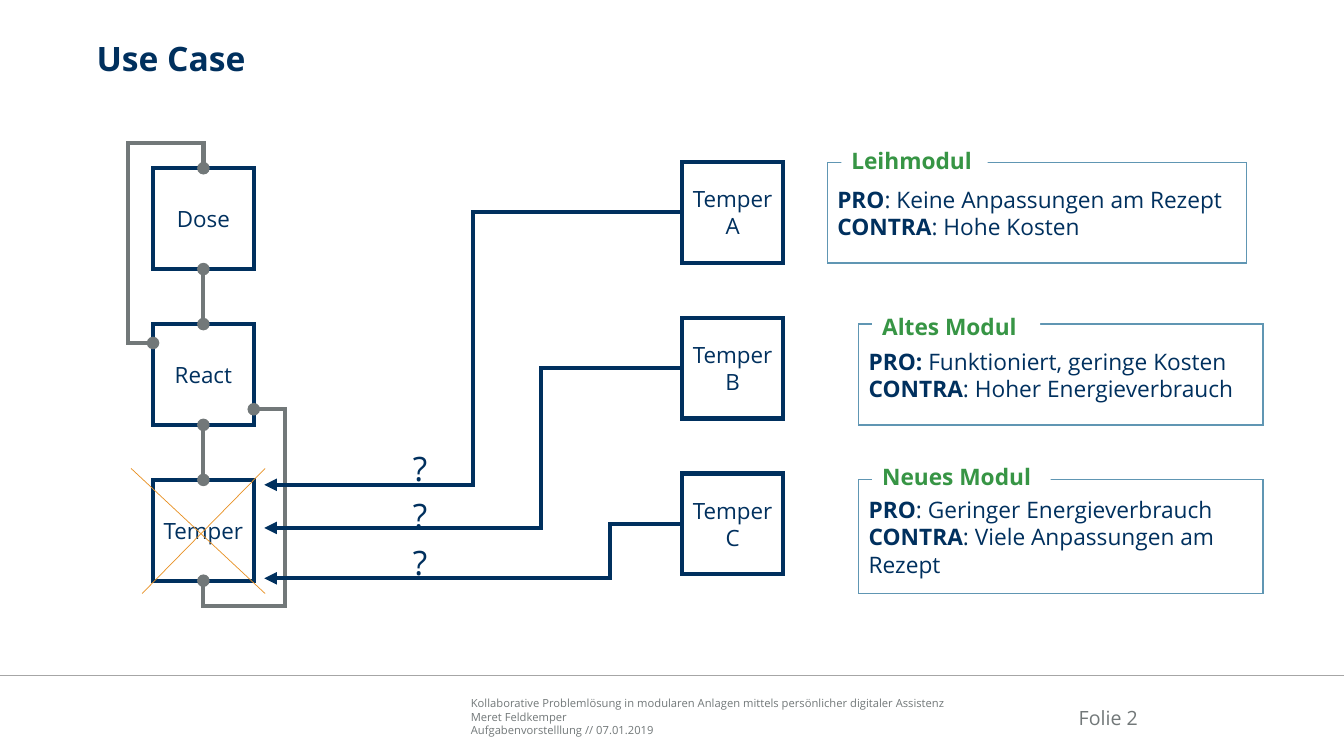
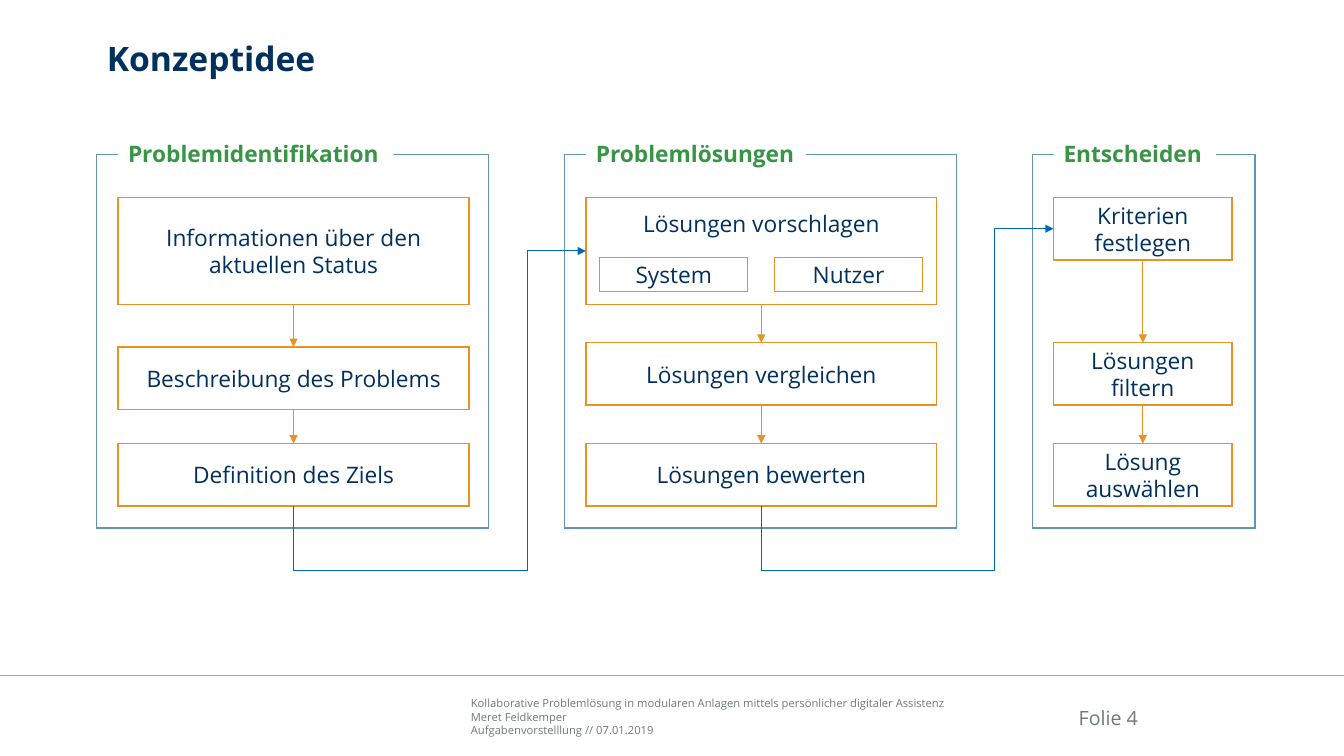
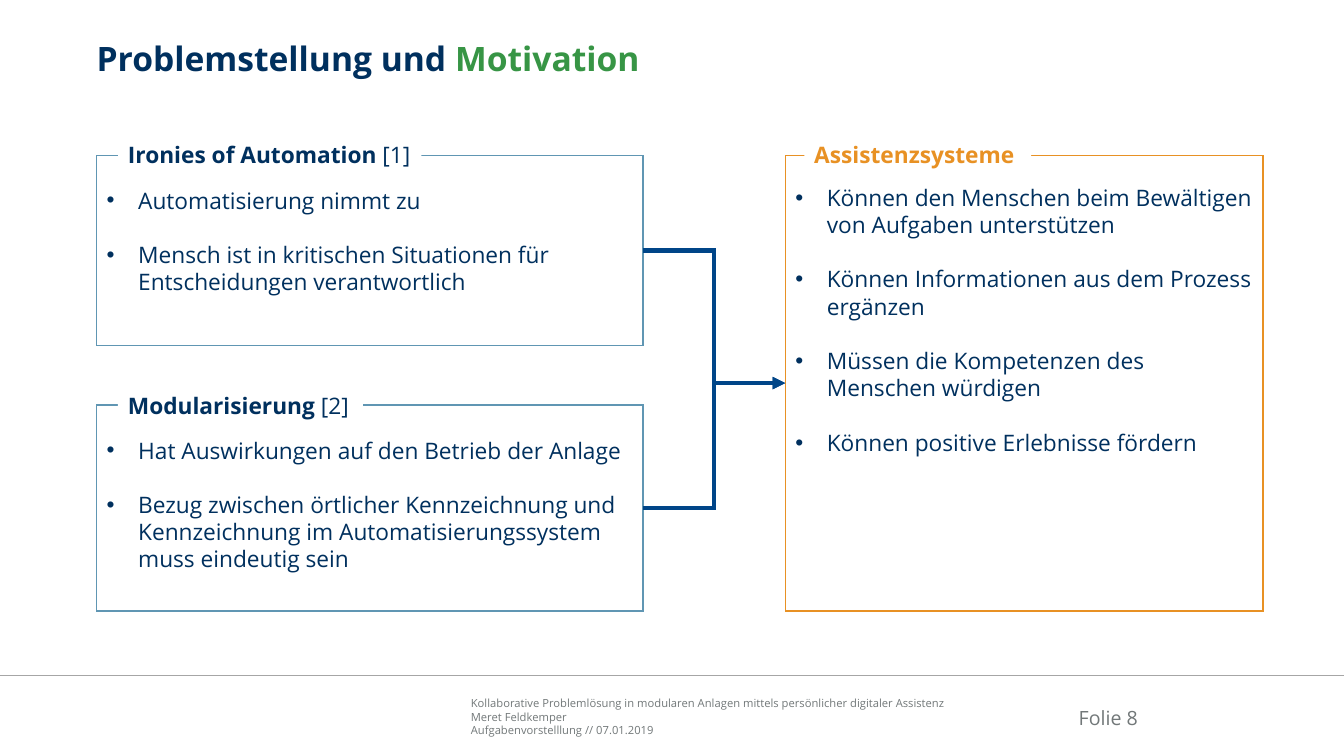
"""Build three slides on modular plants: use case, concept idea and motivation."""
from dataclasses import dataclass
from itertools import pairwise
from typing import Any, NamedTuple

from lxml import etree
from pptx import Presentation
from pptx import util as u
from pptx.dml.color import RGBColor
from pptx.enum import shapes, text
from pptx.oxml.ns import qn

NAVY = RGBColor(0x00, 0x30, 0x5E)
DEEP_BLUE = RGBColor(0x00, 0x45, 0x88)
BLUE = RGBColor(0x00, 0x69, 0xB3)
STEEL = RGBColor(0x60, 0x96, 0xB3)
GREEN = RGBColor(0x37, 0x95, 0x45)
ORANGE = RGBColor(0xE8, 0x91, 0x24)
GREY = RGBColor(0x72, 0x78, 0x79)
RULE_GREY = RGBColor(0xA6, 0xA6, 0xA6)
WHITE = RGBColor(0xFF, 0xFF, 0xFF)

FONT = "Open Sans"
BODY_SIZE = 16.2
LIST_GAP = 19.44
LIST_INDENT = 22.5
LEGEND_HEIGHT = 26.6
SLIDE_WIDTH, SLIDE_HEIGHT = 960, 540
MODULE_SIZE = 72

LEFT, CENTER, RIGHT = text.PP_ALIGN.LEFT, text.PP_ALIGN.CENTER, text.PP_ALIGN.RIGHT
TOP, MIDDLE, BOTTOM = text.MSO_ANCHOR.TOP, text.MSO_ANCHOR.MIDDLE, text.MSO_ANCHOR.BOTTOM
SIDE_LEFT, SIDE_RIGHT = 1, 3

FOOTER_LINES = (
    "Kollaborative Problemlösung in modularen Anlagen mittels persönlicher digitaler Assistenz",
    "Meret Feldkemper",
    "Aufgabenvorstelllung // 07.01.2019",
)

Point = tuple[float, float]


class Area(NamedTuple):
    """A rectangle in points."""

    left: float
    top: float
    width: float
    height: float

    @property
    def center(self) -> float:
        return self.left + self.width / 2

    @property
    def middle(self) -> float:
        return self.top + self.height / 2

    @property
    def bottom(self) -> float:
        return self.top + self.height


@dataclass(frozen=True)
class Run:
    """A piece of text with one format."""

    text: str
    bold: bool = False
    colour: RGBColor = NAVY
    size: float = BODY_SIZE


@dataclass(frozen=True)
class Stroke:
    """A line format with optional ends."""

    colour: RGBColor
    width: float = 1
    head: str = "none"
    tail: str = "none"


@dataclass(frozen=True)
class TextStyle:
    """Placement of text inside its shape."""

    align: Any = CENTER
    anchor: Any = MIDDLE
    side: float = 7.2
    top: float = 3.6
    bottom: float = 3.6


@dataclass(frozen=True)
class Option:
    """A replacement module with its arguments and its route."""

    letter: str
    legend: str
    legend_area: Area
    panel: Area
    arguments: tuple[list[Run], list[Run]]
    bend: float
    arrow_y: float
    question_top: float


@dataclass(frozen=True)
class Step:
    """A step of a stage."""

    text: str
    top: float
    height: float = 44.6
    style: TextStyle = TextStyle()


@dataclass(frozen=True)
class Stage:
    """A framed column of steps."""

    legend: str
    legend_width: float
    width: float
    step_width: float
    arrow_width: float
    steps: tuple[Step, ...]


@dataclass(frozen=True)
class Topic:
    """A framed list with a legend."""

    legend: list[Run]
    legend_area: Area
    panel: Area
    colour: RGBColor
    top_margin: float
    items: tuple[str, ...]


PLAIN = TextStyle()
LEFT_TEXT = TextStyle(align=LEFT)
FRAME = Stroke(STEEL)
STEP_FRAME = Stroke(ORANGE)
MODULE_FRAME = Stroke(NAVY, 3)
PIPE = Stroke(GREY, 3, "oval", "oval")

OPTIONS = (
    Option("A", "Leihmodul", Area(601, 101, 104.5, LEGEND_HEIGHT), Area(591, 116, 299.5, 72),
           ([Run("PRO", True), Run(": Keine Anpassungen am Rezept")],
            [Run("CONTRA", True), Run(": Hohe Kosten")]), 338, 346.3, 319.7),
    Option("B", "Altes Modul", Area(623, 219.6, 120, LEGEND_HEIGHT), Area(613.4, 231.6, 288.7, 72),
           ([Run("PRO: ", True), Run("Funktioniert, geringe Kosten")],
            [Run("CONTRA", True), Run(": Hoher Energieverbrauch")]), 386.6, 377.1, 352.8),
    Option("C", "Neues Modul", Area(623, 327, 127.5, LEGEND_HEIGHT), Area(613.4, 342.7, 288.7, 81.4),
           ([Run("PRO", True), Run(": Geringer Energieverbrauch")],
            [Run("CONTRA", True), Run(": Viele Anpassungen am Rezept")]), 435.8, 413.2, 386.6),
)

STAGES = (
    Stage("Problemidentifikation", 196.6, 280, 250.6, 1, (
        Step("Informationen über den aktuellen Status", 141.1, 76.3),
        Step("Beschreibung des Problems", 247.8),
        Step("Definition des Ziels", 316.8))),
    Stage("Problemlösungen", 157, 280, 250.6, 0.5, (
        Step("Lösungen vorschlagen", 141.1, 76.3, TextStyle(anchor=TOP, top=8.6)),
        Step("Lösungen vergleichen", 244.8),
        Step("Lösungen bewerten", 316.8))),
    Stage("Entscheiden", 116, 159.1, 127.4, 0.5, (
        Step("Kriterien festlegen", 141.1),
        Step("Lösungen filtern", 244.8),
        Step("Lösung auswählen", 316.8))),
)

TOPICS = (
    Topic([Run("Ironies of Automation ", True), Run("[1]")], Area(84.3, 97.2, 216.7, LEGEND_HEIGHT),
          Area(69, 110.9, 390.3, 136), STEEL, 22.3,
          ("Automatisierung nimmt zu",
           "Mensch ist in kritischen Situationen für Entscheidungen verantwortlich")),
    Topic([Run("Modularisierung ", True), Run("[2]")], Area(84.3, 276, 175, LEGEND_HEIGHT),
          Area(69, 289.4, 390.3, 147), STEEL, 22.3,
          ("Hat Auswirkungen auf den Betrieb der Anlage",
           "Bezug zwischen örtlicher Kennzeichnung und Kennzeichnung im "
           "Automatisierungssystem muss eindeutig sein")),
    Topic([Run("Assistenzsysteme", True, ORANGE)], Area(574.5, 97.2, 162, LEGEND_HEIGHT),
          Area(560.9, 110.9, 341.3, 325.5), ORANGE, 20.2,
          ("Können den Menschen beim Bewältigen von Aufgaben unterstützen",
           "Können Informationen aus dem Prozess ergänzen",
           "Müssen die Kompetenzen des Menschen würdigen",
           "Können positive Erlebnisse fördern")),
)


def apply(target: Any, values: dict[str, Any]) -> None:
    """Set each named attribute of the target."""
    for name, value in values.items():
        setattr(target, name, value)


def place(shape: Any, area: Area) -> None:
    """Move and size a shape."""
    apply(shape, {name: u.Pt(value) for name, value in area._asdict().items()})


def write(shape: Any, paragraphs: list[list[Run]], style: TextStyle) -> None:
    """Fill a shape with formatted paragraphs."""
    frame = shape.text_frame
    apply(frame, {
        "word_wrap": True, "auto_size": text.MSO_AUTO_SIZE.NONE, "vertical_anchor": style.anchor,
        "margin_left": u.Pt(style.side), "margin_right": u.Pt(style.side),
        "margin_top": u.Pt(style.top), "margin_bottom": u.Pt(style.bottom),
    })
    for index, runs in enumerate(paragraphs):
        paragraph = frame.add_paragraph() if index else frame.paragraphs[0]
        apply(paragraph, {"alignment": style.align, "space_before": u.Pt(0)})
        for item in runs:
            run = paragraph.add_run()
            run.text = item.text
            apply(run.font, {"name": FONT, "size": u.Pt(item.size), "bold": item.bold})
            run.font.color.rgb = item.colour


def outline(shape: Any, stroke: Stroke) -> None:
    """Format a line with sharp corners and its ends."""
    shape.line.color.rgb = stroke.colour
    shape.line.width = u.Pt(stroke.width)
    line = shape.element.spPr.find(qn("a:ln"))
    etree.SubElement(line, qn("a:miter"), lim="800000")
    etree.SubElement(line, qn("a:headEnd"), type=stroke.head)
    etree.SubElement(line, qn("a:tailEnd"), type=stroke.tail)


def paint(shape: Any, stroke: Stroke | None) -> None:
    """Fill a shape white and draw its frame, if any."""
    shape.fill.solid()
    shape.fill.fore_color.rgb = WHITE
    if stroke:
        outline(shape, stroke)
    else:
        shape.line.fill.background()


def add_box(slide: Any, area: Area, paragraphs: list[list[Run]], stroke: Stroke | None,
            style: TextStyle = PLAIN) -> Any:
    """Add a white rectangle with text."""
    shape = slide.shapes.add_shape(shapes.MSO_SHAPE.RECTANGLE, *map(u.Pt, area))
    shape.shadow.inherit = False
    paint(shape, stroke)
    write(shape, paragraphs, style)
    return shape


def add_legend(slide: Any, area: Area, runs: list[Run]) -> None:
    """Add a heading that interrupts a frame."""
    add_box(slide, area, [runs], None, LEFT_TEXT)


def add_label(slide: Any, area: Area, paragraphs: list[list[Run]], style: TextStyle) -> None:
    """Add a text box."""
    write(slide.shapes.add_textbox(*map(u.Pt, area)), paragraphs, style)


def add_line(slide: Any, start: Point, end: Point, stroke: Stroke,
             kind: Any = shapes.MSO_CONNECTOR.STRAIGHT) -> Any:
    """Add a connector."""
    connector = slide.shapes.add_connector(kind, *map(u.Pt, start + end))
    outline(connector, stroke)
    etree.SubElement(connector.element.spPr, qn("a:effectLst"))
    return connector


def add_elbow(slide: Any, start: Point, end: Point, bend: float, stroke: Stroke) -> Any:
    """Add an elbow connector that turns at the given x position."""
    connector = add_line(slide, start, end, stroke, shapes.MSO_CONNECTOR.ELBOW)
    share = round((bend - start[0]) / (end[0] - start[0]) * 100000)
    adjustments = connector.element.spPr.find(qn("a:prstGeom")).find(qn("a:avLst"))
    etree.SubElement(adjustments, qn("a:gd"), name="adj1", fmla=f"val {share}")
    return connector


def add_route(slide: Any, points: list[Point], stroke: Stroke) -> None:
    """Add an open line through several corners."""
    first, *others = [(u.Pt(x), u.Pt(y)) for x, y in points]
    builder = slide.shapes.build_freeform(*first)
    builder.add_line_segments(others, close=False)
    shape = builder.convert_to_shape()
    shape.shadow.inherit = False
    shape.fill.background()
    outline(shape, stroke)


def add_slide(presentation: Any, layout: int, title: list[Run], number: int, left: float = 69) -> Any:
    """Add a slide with its title, footer and number."""
    slide = presentation.slides.add_slide(presentation.slide_layouts[layout])
    place(slide.shapes.title, Area(left, 27.4, 833, 54))
    write(slide.shapes.title, [title], TextStyle(LEFT, TOP, 0, 0, 0))
    add_line(slide, (0, 482.4), (SLIDE_WIDTH, 482.4), Stroke(RULE_GREY))
    add_label(slide, Area(336.3, 497.5, 353.5, 28.8),
              [[Run(line, colour=GREY, size=8)] for line in FOOTER_LINES],
              TextStyle(LEFT, BOTTOM, 0, 0, 0))
    add_label(slide, Area(741.6, 494.6, 71.3, 26.4), [[Run(f"Folie {number}", colour=GREY, size=14)]],
              TextStyle(RIGHT, BOTTOM, 0, 0, 0))
    return slide


def title_run(words: str, colour: RGBColor = NAVY) -> Run:
    """Return a run in the title format."""
    return Run(words, True, colour, 24)


def add_module(slide: Any, left: float, top: float, *lines: str) -> Any:
    """Add a square plant module."""
    area = Area(left, top, MODULE_SIZE, MODULE_SIZE)
    return add_box(slide, area, [[Run(line, size=16)] for line in lines], MODULE_FRAME)


def build_use_case(presentation: Any) -> None:
    """Build the plant and its three replacement options."""
    slide = add_slide(presentation, 5, [title_run("Use Case")], 2)
    left, top, pitch = 109.3, 120.2, 111.3
    center = left + MODULE_SIZE / 2
    tops = [top + pitch * index for index in range(3)]
    for name, module_top in zip(("Dose", "React", "Temper"), tops):
        add_module(slide, left, module_top, name)
    for upper, lower in pairwise(tops):
        add_line(slide, (center, upper + MODULE_SIZE), (center, lower), PIPE)
    bottom = tops[-1] + MODULE_SIZE
    add_route(slide, [(left, 245), (left - 18, 245), (left - 18, top - 18), (center, top - 18),
                      (center, top)], PIPE)
    add_route(slide, [(center, bottom), (center, bottom + 18), (203.8, bottom + 18), (203.8, 292.3),
                      (left + MODULE_SIZE, 292.3)], PIPE)
    for index, option in enumerate(OPTIONS):
        module_top = 115.7 + pitch * index
        module = add_module(slide, 487.3, module_top, "Temper", option.letter)
        connector = add_elbow(slide, (188.8, option.arrow_y), (487.3, module_top + MODULE_SIZE / 2),
                              option.bend, Stroke(NAVY, 3, head="triangle"))
        connector.end_connect(module, SIDE_LEFT)
        add_label(slide, Area(280, option.question_top, 40.3, 29.5), [[Run("?", size=24)]], PLAIN)
        add_box(slide, option.panel, list(option.arguments), FRAME, LEFT_TEXT)
        add_legend(slide, option.legend_area, [Run(option.legend, True, GREEN)])
    add_line(slide, (93.6, 334.6), (189.4, 424), Stroke(ORANGE, 0.5))
    add_line(slide, (101.5, 424), (189.4, 334.6), Stroke(ORANGE, 0.5))


def build_concept(presentation: Any) -> None:
    """Build the three stages and the routes between them."""
    slide = add_slide(presentation, 5, [title_run("Konzeptidee")], 4, 76.3)
    columns = []
    for index, stage in enumerate(STAGES):
        left = 69.1 + 334.1 * index
        inner = left + 15.3
        add_box(slide, Area(left, 110.2, stage.width, 267), [], FRAME)
        add_legend(slide, Area(inner, 96.5, stage.legend_width, LEGEND_HEIGHT),
                   [Run(stage.legend, True, GREEN)])
        areas = [Area(inner, step.top, stage.step_width, step.height) for step in stage.steps]
        for step, area in zip(stage.steps, areas):
            add_box(slide, area, [[Run(step.text)]], STEP_FRAME, step.style)
        for upper, lower in pairwise(areas):
            add_line(slide, (upper.center, upper.bottom), (lower.center, lower.top),
                     Stroke(ORANGE, stage.arrow_width, tail="triangle"))
        columns.append(areas)
    for index, name in enumerate(("System", "Nutzer")):
        add_box(slide, Area(428.4 + 124.8 * index, 183.8, 105.8, 24.5), [[Run(name)]], STEP_FRAME)
    for current, following in pairwise(columns):
        source, target = current[-1], following[0]
        bend, low = target.left - 41.9, source.bottom + 46.4
        add_route(slide, [(source.center, source.bottom), (source.center, low), (bend, low),
                          (bend, target.middle), (target.left, target.middle)],
                  Stroke(BLUE, 0.75, tail="triangle"))


def add_bullets(shape: Any) -> None:
    """Give each paragraph a bullet, a hanging indent and a gap."""
    for index, paragraph in enumerate(shape.text_frame.paragraphs):
        paragraph.space_before = u.Pt(LIST_GAP if index else 0)
        properties = paragraph._p.get_or_add_pPr()
        properties.set("marL", str(u.Pt(LIST_INDENT)))
        properties.set("indent", str(-u.Pt(LIST_INDENT)))
        etree.SubElement(properties, qn("a:buFont"), typeface="Arial")
        etree.SubElement(properties, qn("a:buChar"), char="•")


def build_motivation(presentation: Any) -> None:
    """Build the two problems that lead to assistance systems."""
    title = [title_run("Problemstellung und "), title_run("Motivation", GREEN)]
    slide = add_slide(presentation, 4, title, 8)
    *bodies, spare = list(slide.placeholders)[1:]
    spare.element.getparent().remove(spare.element)
    for topic, body in zip(TOPICS, bodies):
        place(body, topic.panel)
        paint(body, Stroke(topic.colour))
        write(body, [[Run(item)] for item in topic.items], TextStyle(LEFT, TOP, top=topic.top_margin))
        add_bullets(body)
        add_legend(slide, topic.legend_area, topic.legend)
    target = TOPICS[-1].panel
    for topic, body in zip(TOPICS[:-1], bodies):
        right = topic.panel.left + topic.panel.width
        connector = add_elbow(slide, (right, topic.panel.middle), (target.left, target.middle),
                              (right + target.left) / 2, Stroke(DEEP_BLUE, 3, tail="triangle"))
        connector.begin_connect(body, SIDE_RIGHT)
        connector.end_connect(bodies[-1], SIDE_LEFT)


def main() -> None:
    """Build and save the presentation."""
    presentation = Presentation()
    apply(presentation, {"slide_width": u.Pt(SLIDE_WIDTH), "slide_height": u.Pt(SLIDE_HEIGHT)})
    for build in (build_use_case, build_concept, build_motivation):
        build(presentation)
    presentation.save("out.pptx")


if __name__ == "__main__":
    main()
